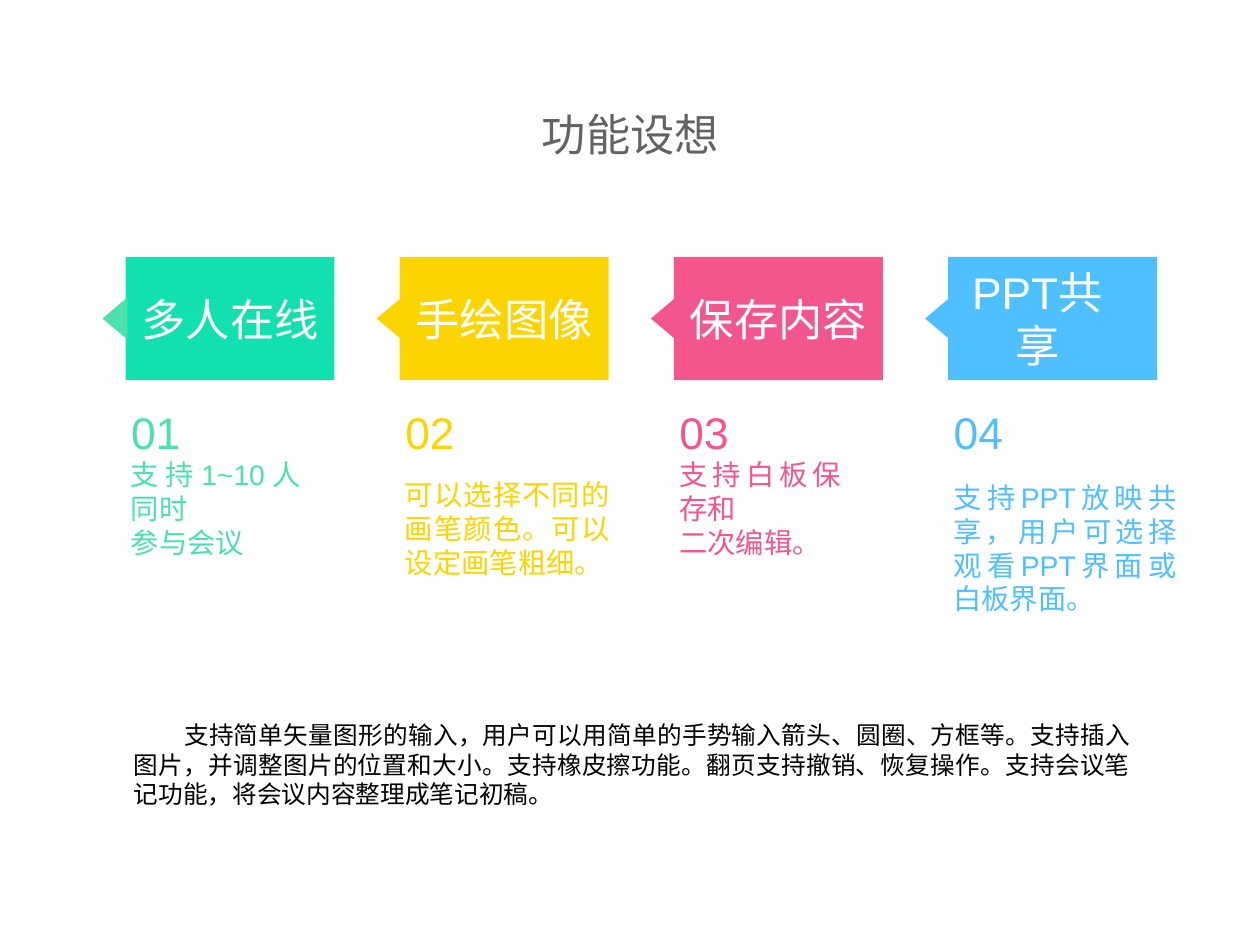
from dataclasses import dataclass

from pptx import Presentation
from pptx.dml.color import RGBColor
from pptx.enum.shapes import MSO_SHAPE
from pptx.enum.text import MSO_ANCHOR, PP_ALIGN
from pptx.util import Cm, Pt

INSET = 0.15
READING_INSET = 1.42  # wider right margin of running text


@dataclass
class Feature:
    label: str
    details: str
    card_color: str
    accent: str
    details_width: float
    details_height: float
    label_offset: float = 0.29
    label_width: float = 5.41
    label_wraps: bool = False


FEATURES = [
    Feature("多人在线", "支持1~10人同时\n参与会议", "12E0AE", "4BE0AE", 6.43, 2.54),
    Feature("手绘图像", "可以选择不同的画笔颜色。可以设定画笔粗细。",
            "FBD401", "FBD500", 7.44, 3.66),
    Feature("保存内容", "支持白板保存和\n二次编辑。", "F3558D", "F3558E", 6.22, 2.54),
    Feature("PPT共享", "支持PPT放映共享，用户可选择观看PPT界面或白板界面。",
            "4EBFFF", "4EBFFF", 7.98, 4.8, 0, 5.11, True),
]
SUMMARY = ("支持简单矢量图形的输入，用户可以用简单的手势输入箭头、圆圈、方框等。"
           "支持插入图片，并调整图片的位置和大小。支持橡皮擦功能。"
           "翻页支持撤销、恢复操作。支持会议笔记功能，将会议内容整理成笔记初稿。")


def color(hex_string):
    return RGBColor.from_string(hex_string)


def paint(shape, hex_string):
    shape.shadow.inherit = False
    shape.fill.solid()
    shape.fill.fore_color.rgb = color(hex_string)
    shape.line.fill.background()


def add_text(slide, text, left, top, width, height, size, hex_string,
             align=PP_ALIGN.CENTER, wrap=False, right_inset=INSET):
    shape = slide.shapes.add_textbox(Cm(left), Cm(top), Cm(width), Cm(height))
    frame = shape.text_frame
    frame.word_wrap = wrap
    frame.vertical_anchor = MSO_ANCHOR.MIDDLE
    frame.margin_left = frame.margin_top = frame.margin_bottom = Cm(INSET)
    frame.margin_right = Cm(right_inset)
    frame.text = text
    for paragraph in frame.paragraphs:
        paragraph.alignment = align
        for run in paragraph.runs:
            run.font.name = "Arial"
            run.font.size = Pt(size)
            run.font.color.rgb = color(hex_string)
    return shape


def add_reading_text(slide, text, left, top, width, height, size, hex_string):
    return add_text(slide, text, left, top, width, height, size, hex_string,
                    PP_ALIGN.JUSTIFY, True, READING_INSET)


def add_card(slide, feature, left, top, width, height):
    card = slide.shapes.add_shape(
        MSO_SHAPE.RECTANGLE, Cm(left), Cm(top), Cm(width), Cm(height))
    paint(card, feature.card_color)

    # Pointer on the left edge
    middle, base = top + height / 2, left + 0.05
    builder = slide.shapes.build_freeform(Cm(base - 0.71), Cm(middle))
    builder.add_line_segments([(Cm(base), Cm(middle + 0.6)),
                               (Cm(base), Cm(middle - 0.6))], close=True)
    paint(builder.convert_to_shape(), feature.accent)

    # Label
    add_text(slide, feature.label, left + feature.label_offset, middle - 1.03,
             feature.label_width, 2.06, 36, "FFFFFF", wrap=feature.label_wraps)


def add_description(slide, feature, number, left, top):
    add_text(slide, f"{number:02d}", left, top, 1.73, 1.8, 36, feature.accent)
    add_reading_text(slide, feature.details, left, top + 1.83,
                     feature.details_width, feature.details_height,
                     23, feature.accent)


def add_summary(slide, left, top, width, height):
    shape = add_reading_text(slide, SUMMARY, left, top, width, height, 20, "000000")
    properties = shape.text_frame.paragraphs[0]._p.get_or_add_pPr()
    properties.set("marL", str(Cm(1.4)))
    properties.set("indent", str(Cm(1.44)))


def build_slide(presentation):
    slide = presentation.slides.add_slide(presentation.slide_layouts[6])
    add_text(slide, "功能设想", 15.37, 2.82, 5.41, 2.06, 36, "636363")
    for index, feature in enumerate(FEATURES):
        left = 3.6 + 7.86 * index
        add_card(slide, feature, left, 7.37, 5.99, 3.53)
        add_description(slide, feature, index + 1, left, 11.48)
    add_summary(slide, 2.29, 20.5, 31.52, 2.84)


def main():
    presentation = Presentation()
    presentation.slide_width = Cm(36.12)
    presentation.slide_height = Cm(27.1)
    build_slide(presentation)
    presentation.save("out.pptx")


if __name__ == "__main__":
    main()
